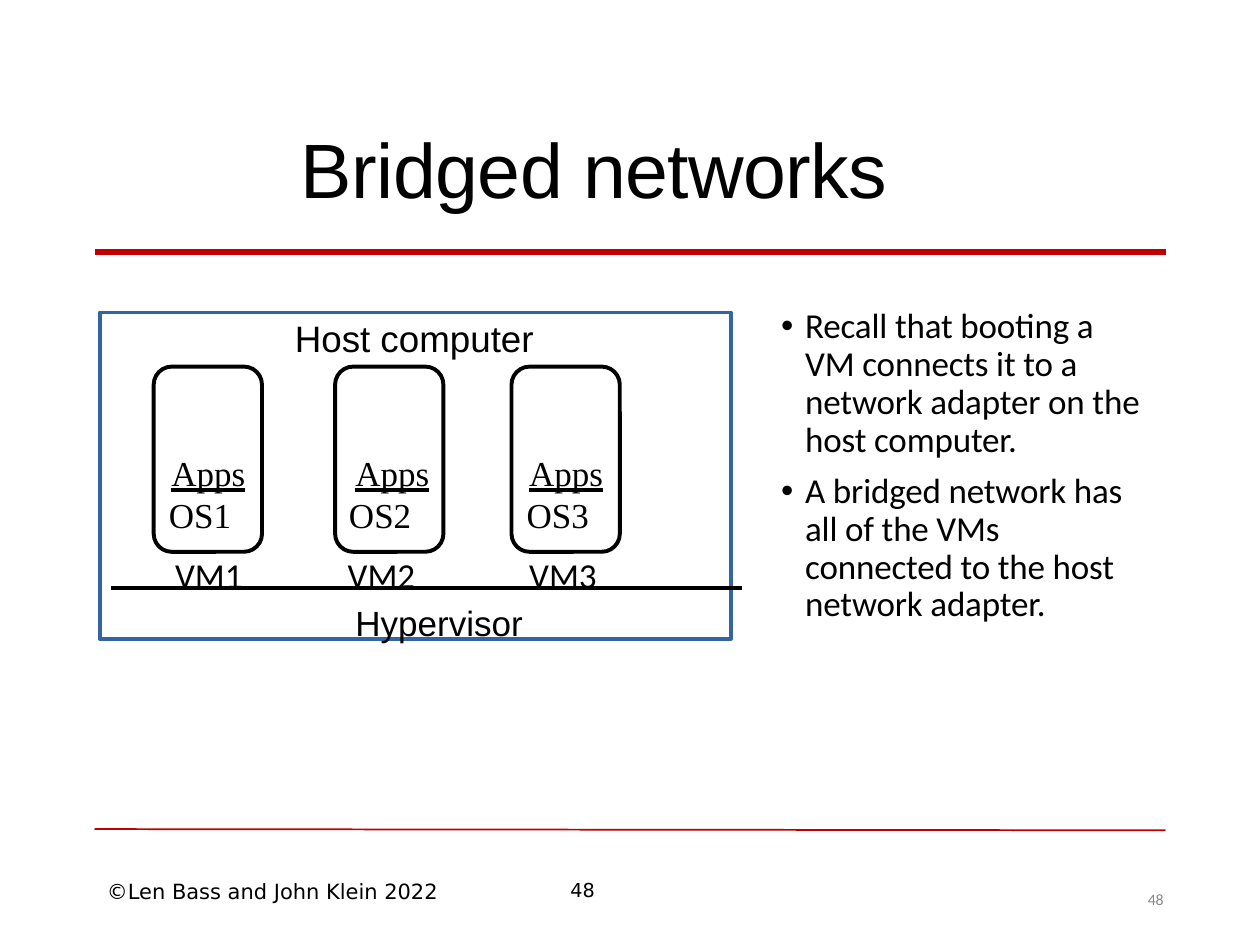
from dataclasses import dataclass
from lxml import etree
from pptx import Presentation
from pptx.dml.color import RGBColor
from pptx.enum.shapes import MSO_CONNECTOR, MSO_SHAPE
from pptx.enum.text import MSO_ANCHOR, MSO_TEXT_UNDERLINE_TYPE, PP_ALIGN
from pptx.oxml.ns import qn
from pptx.util import Inches, Pt

STRAIGHT = MSO_CONNECTOR.STRAIGHT
RECT, ROUNDED = MSO_SHAPE.RECTANGLE, MSO_SHAPE.ROUNDED_RECTANGLE
LEFT, CENTER = PP_ALIGN.LEFT, PP_ALIGN.CENTER
TOP, MIDDLE = MSO_ANCHOR.TOP, MSO_ANCHOR.MIDDLE
HEAVY = MSO_TEXT_UNDERLINE_TYPE.HEAVY_LINE


@dataclass(frozen=True)
class Theme:
    black: str = "000000"
    red: str = "C00000"
    blue: str = "3464A3"
    gray: str = "888888"
    sans: str = "Arial"
    body: str = "Calibri"
    serif: str = "Times New Roman"
    footer: str = "DejaVu Sans"
    title_pt: int = 44
    host_pt: int = 21
    text_pt: int = 20
    footer_pt: int = 12
    number_pt: int = 11
    small_pt: int = 9
    outline_pt: float = 2.25


T = Theme()
COLS, ROWS = 100, 75

prs = Presentation()
prs.slide_width, prs.slide_height = Inches(10), Inches(7.5)
COL, ROW = prs.slide_width / COLS, prs.slide_height / ROWS
slide = prs.slides.add_slide(prs.slide_layouts[6])


def emu(box):
    """Turn a box in columns and rows into slide lengths."""
    x, y, w, h = box
    return round(x * COL), round(y * ROW), round(w * COL), round(h * ROW)


def inside(box, x, y, w, h):
    return box[0] + x, box[1] + y, w, h


def add_run(p, text, size, font, color=T.black, spacing=0, underline=None):
    r = p.add_run()
    r.text = text
    r.font.size, r.font.name = Pt(size), font
    r.font.color.rgb = RGBColor.from_string(color)
    r.font.underline = underline
    if spacing:
        r._r.get_or_add_rPr().set("spc", str(round(spacing * 100)))


def add_frame(box, margins=(0, 0.01), anchor=TOP):
    tf = slide.shapes.add_textbox(*emu(box)).text_frame
    tf.word_wrap, tf.vertical_anchor = True, anchor
    tf.margin_left = tf.margin_right = Inches(margins[0])
    tf.margin_top, tf.margin_bottom = Inches(margins[1]), 0
    return tf


def add_label(box, text, size, font, color=T.black, align=LEFT, before=0.8,
              spacing=0, **frame):
    p = add_frame(box, **frame).paragraphs[0]
    p.alignment, p.space_before = align, Pt(before)
    add_run(p, text, size, font, color, spacing)


def add_line(x1, y1, x2, y2, color, width):
    start, end = emu((x1, y1, 0, 0)), emu((x2, y2, 0, 0))
    sp = slide.shapes.add_connector(STRAIGHT, *start[:2], *end[:2])
    sp.line.color.rgb, sp.line.width = RGBColor.from_string(color), Pt(width)
    etree.SubElement(sp._element.spPr, qn("a:effectLst"))


def add_outline(kind, box, color):
    sp = slide.shapes.add_shape(kind, *emu(box))
    sp.shadow.inherit = False
    sp.fill.background()
    sp.line.color.rgb = RGBColor.from_string(color)
    sp.line.width = Pt(T.outline_pt)


def add_tab_stop(p, inches):
    tabs = etree.SubElement(p._p.get_or_add_pPr(), qn("a:tabLst"))
    etree.SubElement(tabs, qn("a:tab"), pos=str(Inches(inches)), algn="l")


def heading(box):
    add_label(inside(box, 7.1, 0, 65.1, 7.5), "Bridged networks", T.title_pt,
              T.sans, align=CENTER, spacing=-0.35, anchor=MIDDLE)
    add_line(box[0], box[1] + 10.5, box[0] + box[2], box[1] + 10.5, T.red, 3)


def footer(box):
    x, y, w, h = box
    add_line(x, y, x + w, y + 0.1, T.red, 1)
    add_label(inside(box, 32.5, 3.4, 12.5, 2.9), "48", T.number_pt, T.footer,
              align=CENTER, before=0, margins=(0.1, 0.05))
    add_label(inside(box, 0, 3.4, 30, 3), "©Len Bass and John Klein 2022",
              T.footer_pt, T.footer, before=0, margins=(0.1, 0.05))
    add_label(inside(box, 83.6, 4.8, 3, 1.4), "48", T.small_pt, T.body, T.gray,
              before=0, margins=(0, 0))


def machine(box, number, text_dx, os_indent, name_dx):
    """One virtual machine with its apps, system and name."""
    add_outline(ROUNDED, box, T.black)
    tf = add_frame(inside(box, text_dx, 6.6, 8.7, 6.8))
    apps = tf.paragraphs[0]
    apps.space_before = Pt(0.8)
    add_tab_stop(apps, 0.14)
    add_run(apps, "\tApps", T.text_pt, T.serif, underline=HEAVY)
    system = tf.add_paragraph()
    system._p.get_or_add_pPr().set("marL", str(Inches(os_indent)))
    add_run(system, f"OS{number}", T.text_pt, T.serif)
    add_label(inside(box, name_dx, 14.7, 9, 3.5), f"VM{number}", T.text_pt, T.body)


def host(box):
    x, y, w, h = box
    add_outline(RECT, box, T.blue)
    add_label(inside(box, 15.5, 0.2, 21, 3.6), "Host computer", T.host_pt, T.sans)
    add_line(x + 0.9, y + 21.9, x + w + 0.9, y + 21.9, T.black, T.outline_pt)
    add_label(inside(box, 3.9, 22.8, 46.1, 3.5), "Hypervisor", T.text_pt, T.sans,
              align=CENTER)
    machines = [(4.3, 0, 0.12, 1.7), (18.7, 0.2, 0.09, 1), (32.7, 0, 0.12, 1.4)]
    for number, (dx, *offsets) in enumerate(machines, 1):
        machine(inside(box, dx, 4.3, 8.6, 14.7), number, *offsets)


def bullets(box, items):
    """Bulleted statements, each a list of lines."""
    tf = add_frame(box, margins=(0, 0.04))
    for i, (lines, before) in enumerate(items):
        p = tf.add_paragraph() if i else tf.paragraphs[0]
        p.line_spacing, p.space_before = 0.9, Pt(before)
        pPr = p._p.get_or_add_pPr()
        pPr.set("marL", str(Inches(0.2)))
        pPr.set("indent", str(Inches(-0.19)))
        etree.SubElement(pPr, qn("a:buFont"), typeface="Arial")
        etree.SubElement(pPr, qn("a:buChar"), char="•")
        for j, line in enumerate(lines):
            if j:
                p.add_line_break()
            add_run(p, line, T.text_pt, T.body, spacing=-0.1)


heading((7.5, 9.5, 85, 10.5))
footer((7.5, 65.8, 85, 6.4))
host((7.9, 24.8, 50.1, 25.9))
bullets((61.9, 24.1, 30.2, 25.8), [
    (["Recall that booting a", "VM connects it to a",
      "network adapter on the", "host computer."], 3.2),
    (["A bridged network has", "all of the VMs",
      "connected to the host", "network adapter."], 7.6),
])
prs.save("out.pptx")
